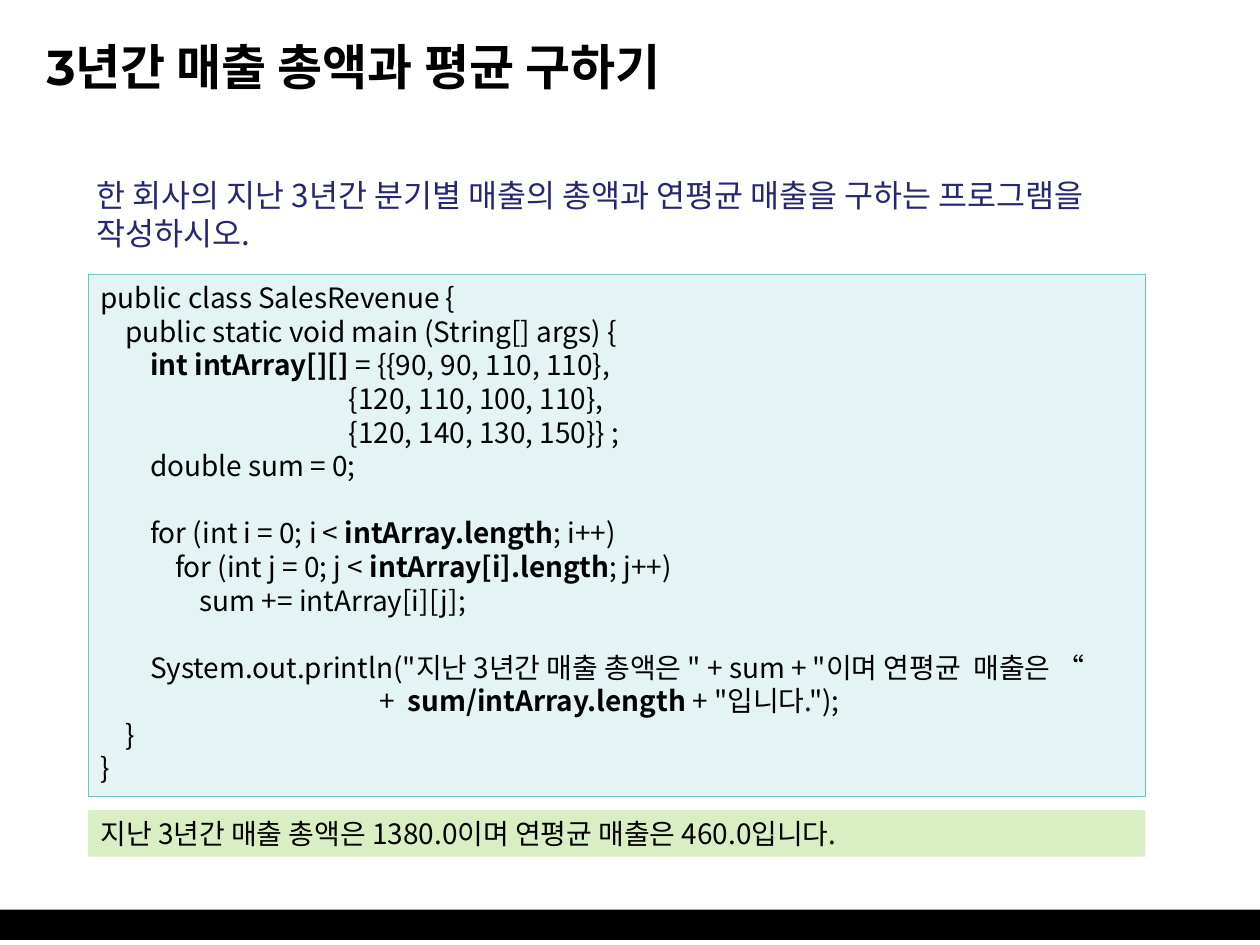
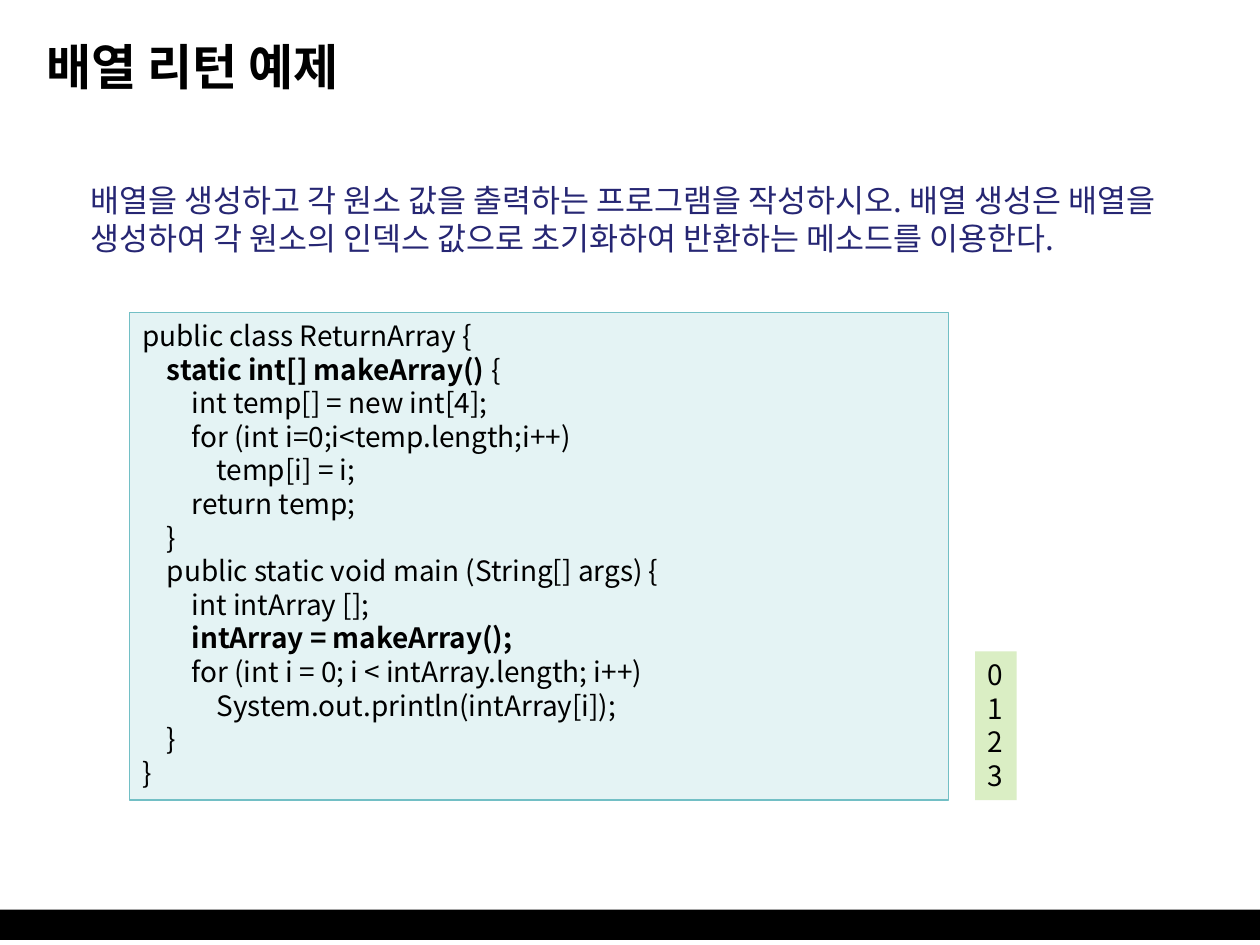
from dataclasses import dataclass

from pptx import Presentation
from pptx import util as u
from pptx.dml.color import RGBColor
from pptx.enum import shapes, text
from pptx.oxml import ns
from lxml import etree


@dataclass(frozen=True)
class Theme:
    ink: str = "000000"
    question: str = "262673"
    code_fill: str = "E4F3F4"
    code_edge: str = "72BFC5"
    result_fill: str = "DAEEC4"
    title_font: str = "Montserrat"
    body_font: str = "Noto Sans CJK KR"
    title_size: int = 28
    question_size: int = 18
    code_size: int = 16
    leading: float = 1.2
    indent: int = u.Cm(0.5)


COLUMNS, ROWS = 100, 75

SALES_CODE = [
    (0, "public class SalesRevenue {"),
    (1, "public static void main (String[] args) {"),
    (2, "**int intArray[][] **= {{90, 90, 110, 110},"),
    (10, "{120, 110, 100, 110},"),
    (10, "{120, 140, 130, 150}} ;"),
    (2, "double sum = 0;"),
    (2, "for (int i = 0; i < **intArray.length**; i++)", 1),
    (3, "for (int j = 0; j < **intArray[i].length**; j++)"),
    (4, "sum += intArray[i][j];"),
    (2, 'System.out.println("지난 3년간 매출 총액은 " + sum + "이며 연평균  매출은 “', 1),
    (11.25, '+ ** sum/intArray.length **+ "입니다.");'),
    (1, "}"),
    (0, "}"),
]

RETURN_CODE = [
    (0, "public class ReturnArray {"),
    (1, "**static int[] makeArray() **{"),
    (2, "int temp[] = new int[4];"),
    (2, "for (int i=0;i<temp.length;i++)"),
    (3, "temp[i] = i;"),
    (2, "return temp;"),
    (1, "}"),
    (1, "public static void main (String[] args) {"),
    (2, "int intArray [];"),
    (2, "**intArray = makeArray();**"),
    (2, "for (int i = 0; i < intArray.length; i++)"),
    (3, "System.out.println(intArray[i]);"),
    (1, "}"),
    (0, "}"),
]


def write(paragraph, content, *, font, size, color, bold=False,
          margin=0, leading=None, gap_lines=0):
    paragraph.alignment = text.PP_ALIGN.LEFT
    if margin:
        properties = paragraph._p.get_or_add_pPr()
        properties.set("marL", str(int(margin)))
        properties.set("indent", "0")
    if leading:
        paragraph.line_spacing = u.Pt(size * leading)
        paragraph.space_before = u.Pt(size * leading * gap_lines)
    for position, piece in enumerate(content.split("**")):
        if not piece:
            continue
        run = paragraph.add_run()
        run.text = piece
        run.font.name = font
        run.font.size = u.Pt(size)
        run.font.bold = bold or position % 2 == 1
        run.font.color.rgb = RGBColor.from_string(color)
        latin = run._r.get_or_add_rPr().find(ns.qn("a:latin"))
        east_asian = etree.Element(ns.qn("a:ea"), typeface=Theme.body_font)
        latin.addnext(east_asian)


class Deck:
    def __init__(self, theme):
        self.theme = theme
        self.presentation = Presentation()
        self.presentation.slide_width = u.Inches(10)
        self.presentation.slide_height = u.Inches(7.5)
        self.slide = None

    def place(self, left, top, width, height):
        column = self.presentation.slide_width / COLUMNS
        row = self.presentation.slide_height / ROWS
        return (int(left * column), int(top * row),
                int(width * column), int(height * row))

    def start(self, heading):
        title_only = self.presentation.slide_layouts[5]
        self.slide = self.presentation.slides.add_slide(title_only)
        self.panel((0, 72.2, COLUMNS, 2.4), self.theme.ink)
        title = self.slide.shapes.title
        title.left, title.top, title.width, title.height = self.place(
            2.7, 1.3, 94.5, 7.9)
        title.text_frame.vertical_anchor = text.MSO_ANCHOR.MIDDLE
        write(title.text_frame.paragraphs[0], heading, bold=True,
              font=self.theme.title_font, size=self.theme.title_size,
              color=self.theme.ink)

    def panel(self, area, fill, edge=None):
        panel = self.slide.shapes.add_shape(
            shapes.MSO_SHAPE.RECTANGLE, *self.place(*area))
        panel.shadow.inherit = False
        panel.fill.solid()
        panel.fill.fore_color.rgb = RGBColor.from_string(fill)
        if edge:
            panel.line.color.rgb = RGBColor.from_string(edge)
            panel.line.width = u.Pt(0.75)
        else:
            panel.line.fill.background()
        return panel

    def fill_lines(self, shape, lines, size, color, wrap=True):
        frame = shape.text_frame
        frame.word_wrap = wrap
        frame.vertical_anchor = text.MSO_ANCHOR.TOP
        for number, (level, content, *gap) in enumerate(lines):
            paragraph = frame.add_paragraph() if number else frame.paragraphs[0]
            write(paragraph, content, font=self.theme.body_font, size=size,
                  color=color, margin=level * self.theme.indent,
                  leading=self.theme.leading, gap_lines=sum(gap))

    def question(self, area, content):
        box = self.slide.shapes.add_textbox(*self.place(*area))
        self.fill_lines(box, [(0, content)], self.theme.question_size,
                        self.theme.question)

    def code(self, area, lines):
        listing = self.panel(area, self.theme.code_fill, self.theme.code_edge)
        self.fill_lines(listing, lines, self.theme.code_size, self.theme.ink)

    def result(self, area, lines, wrap=True):
        output = self.panel(area, self.theme.result_fill)
        self.fill_lines(output, [(0, line) for line in lines],
                        self.theme.code_size, self.theme.ink, wrap)


def main():
    deck = Deck(Theme())

    deck.start("3년간 매출 총액과 평균 구하기")
    deck.code((7, 21.8, 83.9, 41.4), SALES_CODE)
    deck.question(
        (6.7, 13.5, 85.5, 7.1),
        "한 회사의 지난 3년간 분기별 매출의 총액과 연평균 매출을 구하는 "
        "프로그램을 작성하시오.")
    deck.result(
        (7, 64.3, 83.9, 3.7),
        ["지난 3년간 매출 총액은 1380.0이며 연평균 매출은 460.0입니다."])

    deck.start("배열 리턴 예제")
    deck.code((10.3, 24.8, 65, 38.7), RETURN_CODE)
    deck.question(
        (6.2, 13.9, 91, 10.1),
        "배열을 생성하고 각 원소 값을 출력하는 프로그램을 작성하시오. "
        "배열 생성은 배열을 생성하여 각 원소의 인덱스 값으로 초기화하여 "
        "반환하는 메소드를 이용한다.")
    deck.result((77.4, 51.7, 3.3, 11.8), ["0", "1", "2", "3"], wrap=False)

    deck.presentation.save("out.pptx")


if __name__ == "__main__":
    main()
